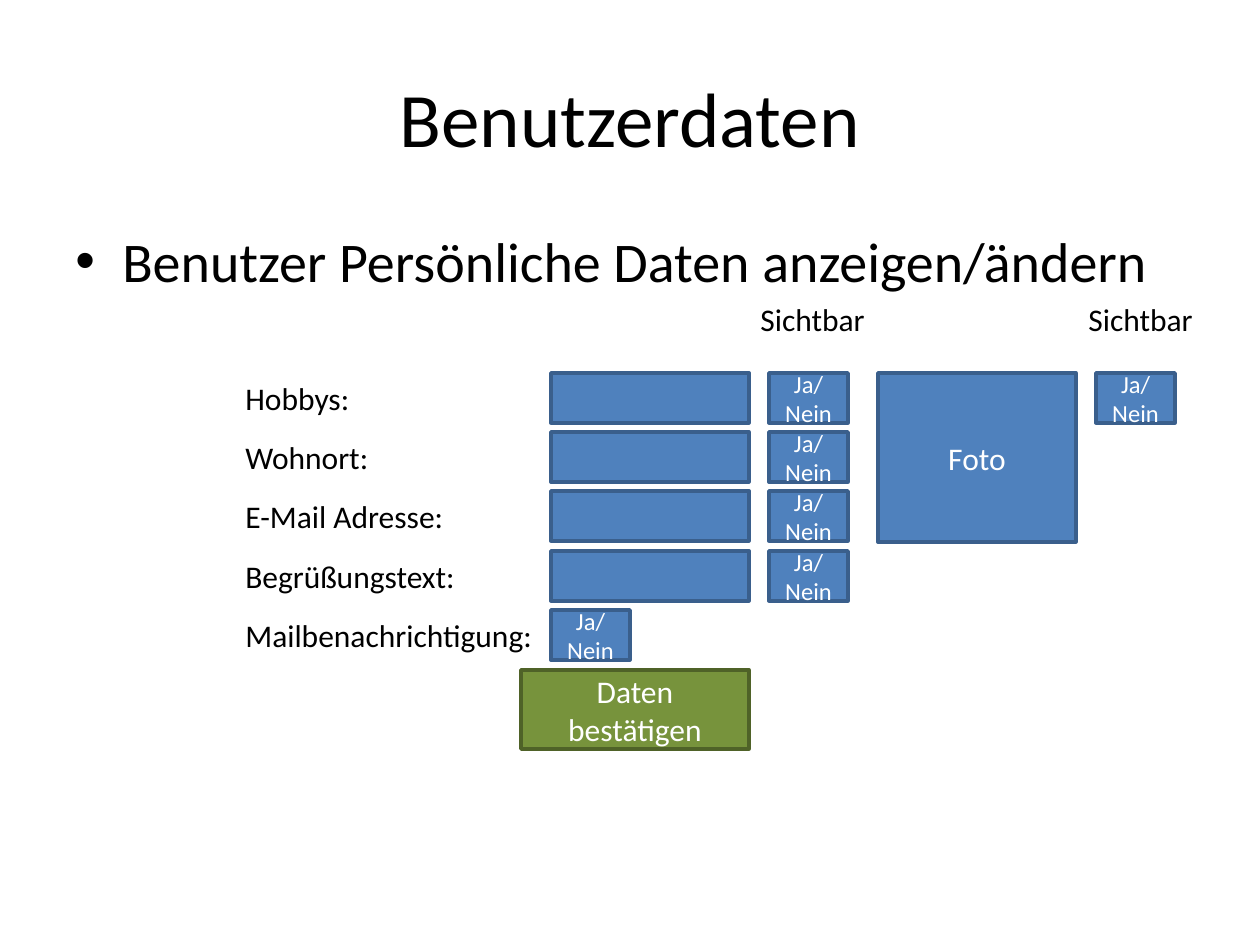
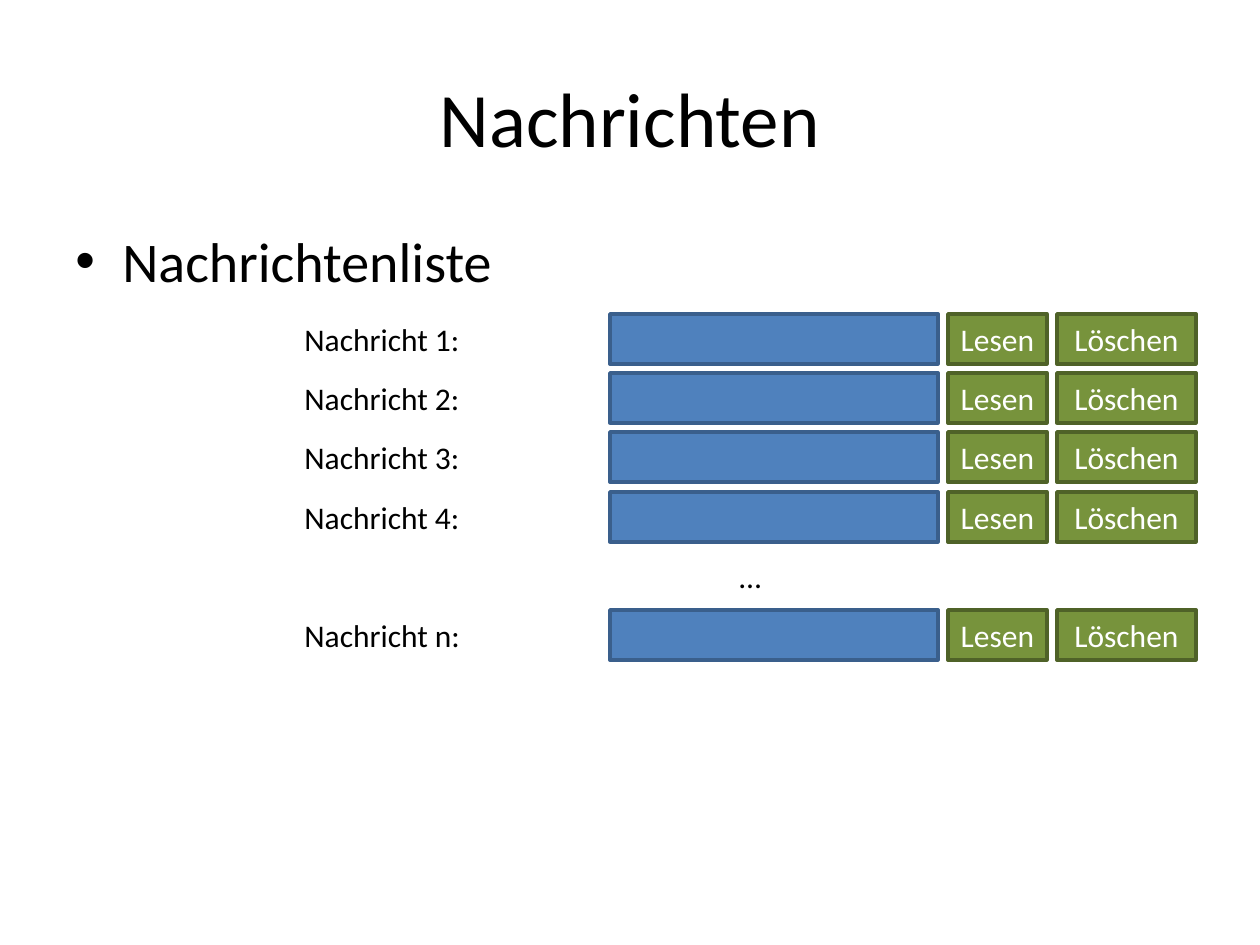
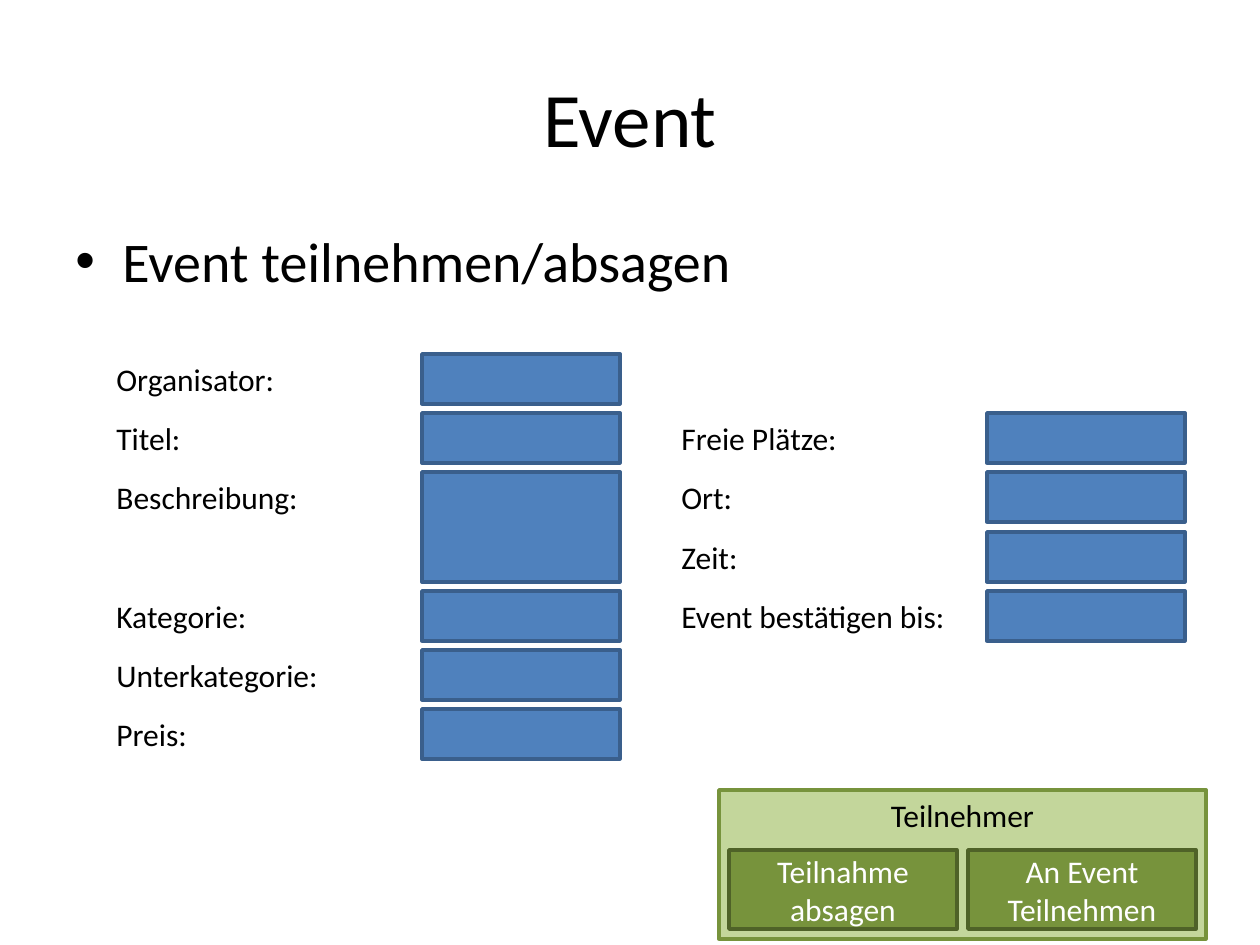
from dataclasses import dataclass

from lxml.etree import SubElement
from pptx import Presentation
from pptx.dml.color import RGBColor
from pptx.enum.shapes import MSO_SHAPE
from pptx.enum.text import MSO_ANCHOR, MSO_AUTO_SIZE, PP_ALIGN
from pptx.oxml.ns import qn
from pptx.shapes.autoshape import Shape
from pptx.slide import Slide
from pptx.text.text import TextFrame
from pptx.util import Emu, Inches, Pt

PIXEL = Inches(1) / 126
FONT = "Calibri"
BLACK = RGBColor(0x00, 0x00, 0x00)
WHITE = RGBColor(0xFF, 0xFF, 0xFF)
BLUE = RGBColor(0x4F, 0x81, 0xBD)
DARK_BLUE = RGBColor(0x3A, 0x5F, 0x8C)
GREEN = RGBColor(0x77, 0x93, 0x3C)
DARK_GREEN = RGBColor(0x4F, 0x62, 0x28)
LIGHT_GREEN = RGBColor(0xC3, 0xD6, 0x9B)

ROW_PITCH = 59.2
ROW_HEIGHT = 50
FIELD_WIDTH = 198
TOGGLE_WIDTH = 79
BUTTON_WIDTH, BUTTON_HEIGHT = 228, 79
LABEL_TO_FIELD = 318


@dataclass(frozen=True)
class Style:
    """Colours of a box."""
    fill: RGBColor
    line: RGBColor
    text: RGBColor = WHITE


@dataclass(frozen=True)
class Entry:
    """A form label, its width, its row and the height of its field."""
    label: str
    width: int
    row: int
    field_height: int = ROW_HEIGHT


FIELD = Style(BLUE, DARK_BLUE)
BUTTON = Style(GREEN, DARK_GREEN)
PANEL = Style(LIGHT_GREEN, GREEN, BLACK)


def px(length: float) -> Emu:
    """Turn pixels into EMU."""
    return Emu(round(length * PIXEL))


def row_top(first: int, row: int) -> int:
    """Return the top of a form row."""
    return first + round(row * ROW_PITCH)


def write(frame: TextFrame, text: str, size: int, color: RGBColor,
          align: PP_ALIGN) -> None:
    """Fill a text frame and format its runs."""
    frame.text = text
    for para in frame.paragraphs:
        para.alignment = align
        for span in para.runs:
            span.font.name = FONT
            span.font.size = Pt(size)
            span.font.color.rgb = color


def add_text(page: Slide, left: int, top: int, width: int, height: int, text: str,
             size: int, align: PP_ALIGN = PP_ALIGN.LEFT) -> Shape:
    """Add a wrapping text box."""
    box = page.shapes.add_textbox(px(left), px(top), px(width), px(height))
    box.text_frame.word_wrap = True
    write(box.text_frame, text, size, BLACK, align)
    return box


def add_label(page: Slide, left: int, top: int, width: int, text: str) -> None:
    """Add a one-line label that fits its text."""
    box = add_text(page, left, top, width, ROW_HEIGHT, text, 18)
    box.text_frame.word_wrap = False
    box.text_frame.auto_size = MSO_AUTO_SIZE.SHAPE_TO_FIT_TEXT


def add_box(page: Slide, left: int, top: int, width: int, height: int = ROW_HEIGHT,
            text: str = "", style: Style = FIELD, size: int = 18,
            anchor: MSO_ANCHOR = MSO_ANCHOR.MIDDLE) -> None:
    """Add an outlined rectangle with centred text."""
    box = page.shapes.add_shape(MSO_SHAPE.RECTANGLE, px(left), px(top),
                                px(width), px(height))
    box.shadow.inherit = False
    box.fill.solid()
    box.fill.fore_color.rgb = style.fill
    box.line.color.rgb = style.line
    box.line.width = Pt(2)
    box.text_frame.vertical_anchor = anchor
    if text:
        write(box.text_frame, text, size, style.text, PP_ALIGN.CENTER)


def add_toggle(page: Slide, left: int, top: int) -> None:
    """Add a yes/no box."""
    add_box(page, left, top, TOGGLE_WIDTH, text="Ja/\nNein", size=14)


def add_form(page: Slide, left: int, top: int, entries: list[Entry],
             field_width: int = FIELD_WIDTH) -> None:
    """Add a column of labels with a field beside each."""
    for entry in entries:
        y = row_top(top, entry.row)
        add_label(page, left, y, entry.width, entry.label)
        add_box(page, left + LABEL_TO_FIELD, y, field_width, entry.field_height)


def add_page(deck: Presentation, title: str, topic: str) -> Slide:
    """Add a slide with its title and bulleted topic."""
    page = deck.slides.add_slide(deck.slide_layouts[6])
    heading = add_text(page, 63, 38, 1134, 157, title, 44, PP_ALIGN.CENTER)
    heading.text_frame.vertical_anchor = MSO_ANCHOR.MIDDLE
    body = add_text(page, 63, 220, 1134, 624, topic, 32)
    properties = body.text_frame.paragraphs[0]._p.get_or_add_pPr()
    properties.set("marL", str(px(47)))
    properties.set("indent", str(px(-47)))
    spacing = SubElement(properties, qn("a:spcBef"))
    SubElement(spacing, qn("a:spcPct")).set("val", "20000")
    SubElement(properties, qn("a:buFont")).set("typeface", "Arial")
    SubElement(properties, qn("a:buChar")).set("char", "•")
    return page


def build_user_data(deck: Presentation) -> None:
    """Build the form for personal data."""
    page = add_page(deck, "Benutzerdaten", "Benutzer Persönliche Daten anzeigen/ändern")
    left, top = 233, 373
    field_left = left + LABEL_TO_FIELD
    entries = [
        Entry("Hobbys:", 131, 0),
        Entry("Wohnort:", 150, 1),
        Entry("E-Mail Adresse:", 226, 2),
        Entry("Begrüßungstext:", 237, 3),
    ]
    add_form(page, left, top, entries)
    for entry in entries:
        add_toggle(page, 769, row_top(top, entry.row))
    mail_top = row_top(top, len(entries))
    add_label(page, left, mail_top, 316, "Mailbenachrichtigung:")
    add_toggle(page, field_left, mail_top)
    add_box(page, 878, top, FIELD_WIDTH, 169, "Foto")
    add_toggle(page, 1096, top)
    for heading_left in (748, 1076):
        add_label(page, heading_left, 294, 131, "Sichtbar")
    add_box(page, 521, 670, BUTTON_WIDTH, BUTTON_HEIGHT, "Daten bestätigen", BUTTON)


def build_messages(deck: Presentation) -> None:
    """Build the list of messages."""
    page = add_page(deck, "Nachrichten", "Nachrichtenliste")
    top = 314
    entries = [Entry(f"Nachricht {name}:", 183, row)
               for name, row in zip("1234n", (0, 1, 2, 3, 5))]
    add_form(page, 292, top, entries, field_width=328)
    for entry in entries:
        y = row_top(top, entry.row)
        add_box(page, 948, y, 99, text="Lesen", style=BUTTON)
        add_box(page, 1057, y, 139, text="Löschen", style=BUTTON)
    add_text(page, 727, row_top(top, 4), 49, ROW_HEIGHT, "…", 18)


def build_event(deck: Presentation) -> None:
    """Build the event form with the buttons for participants."""
    page = add_page(deck, "Event", "Event teilnehmen/absagen")
    top = 354
    add_form(page, 104, top, [
        Entry("Organisator:", 185, 0),
        Entry("Titel:", 91, 1),
        Entry("Beschreibung:", 209, 2, 110),
        Entry("Kategorie:", 158, 4),
        Entry("Unterkategorie:", 229, 5),
        Entry("Preis:", 97, 6),
    ])
    add_form(page, 669, top, [
        Entry("Freie Plätze:", 183, 1),
        Entry("Ort:", 77, 2),
        Entry("Zeit:", 82, 3),
        Entry("Event bestätigen bis:", 292, 4),
    ])
    add_box(page, 719, 790, 487, 149, "Teilnehmer", PANEL, anchor=MSO_ANCHOR.TOP)
    for left, text in ((729, "Teilnahme absagen"), (968, "An Event Teilnehmen")):
        add_box(page, left, 850, BUTTON_WIDTH, BUTTON_HEIGHT, text, BUTTON)


def main() -> None:
    """Build and save the deck."""
    deck = Presentation()
    deck.slide_width, deck.slide_height = px(1260), px(945)
    build_user_data(deck)
    build_messages(deck)
    build_event(deck)
    deck.save("out.pptx")


main()
